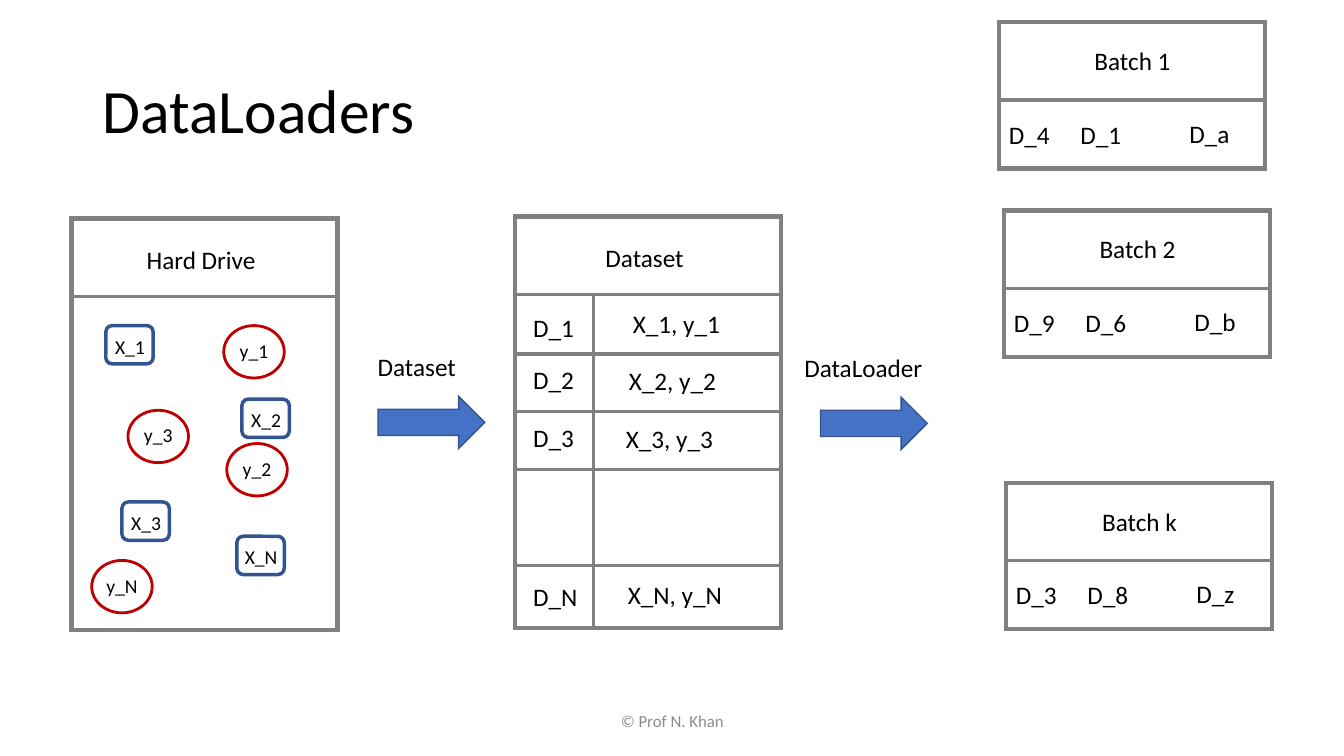
from dataclasses import dataclass

from lxml import etree
from pptx import Presentation, util as u
from pptx.dml.color import RGBColor
from pptx.enum import shapes as s, text as t
from pptx.oxml.ns import qn

# Grid of square cells, ten to the inch
COLS, ROWS = 133.33, 75
BLACK, GREY, NAVY, BLUE, RED = "000000", "808080", "325491", "4472C4", "C00000"
KIND = s.MSO_SHAPE
WIDE, HEAD = 26.4, 7.7  # panel width and header height

deck = Presentation()
deck.slide_width, deck.slide_height = u.Inches(13.33), u.Inches(7.5)
slide = deck.slides.add_slide(deck.slide_layouts[6])


@dataclass
class Panel:
    name: str
    x: float
    y: float
    high: float
    dx: float
    dy: float


@dataclass
class Style:
    kind: KIND
    line: str
    weight: float
    wide: float
    high: float
    dx: float
    dy: float


@dataclass
class Token:
    name: str
    x: float
    y: float
    style: Style


@dataclass
class Batch:
    panel: Panel
    items: tuple[str, ...]


@dataclass
class Row:
    key: str
    pair: str
    key_y: float
    pair_x: float
    pair_y: float


@dataclass
class Arrow:
    name: str
    x: float
    y: float
    text_x: float


def color(code: str) -> RGBColor:
    return RGBColor.from_string(code)


def grid(*cells: float) -> list[int]:
    """Turn x, y, x, y ... in grid cells into slide units."""
    units = (deck.slide_width / COLS, deck.slide_height / ROWS)
    return [round(cell * units[i % 2]) for i, cell in enumerate(cells)]


def write(words: str, x: float, y: float, wide: float = 21.5, high: float = 4, *,
          size: int = 18, ink: str = BLACK, center: bool = True,
          middle: bool = False, space: float = 1) -> None:
    frame = slide.shapes.add_textbox(*grid(x, y, wide, high)).text_frame
    frame.word_wrap = True
    frame.vertical_anchor = t.MSO_ANCHOR.MIDDLE if middle else t.MSO_ANCHOR.TOP
    para = frame.paragraphs[0]
    para.alignment = t.PP_ALIGN.CENTER if center else t.PP_ALIGN.LEFT
    para.line_spacing = space
    run = para.add_run()
    run.text = words
    run.font.name, run.font.size = "Calibri", u.Pt(size)
    run.font.color.rgb = color(ink)


def label(words: str, x: float, y: float, wide: float = 7) -> None:
    write(words, x, y, wide, center=False)


def shape(kind: KIND, x: float, y: float, wide: float, high: float,
          line: str, weight: float, fill: str = "") -> None:
    item = slide.shapes.add_shape(kind, *grid(x, y, wide, high))
    item.shadow.inherit = False
    item.line.color.rgb, item.line.width = color(line), u.Pt(weight)
    # Sharp corners
    etree.SubElement(item._element.spPr.find(qn("a:ln")), qn("a:miter"), lim="800000")
    if fill:
        item.fill.solid()
        item.fill.fore_color.rgb = color(fill)
    else:
        item.fill.background()


def rule(x: float, y: float, end_x: float, end_y: float) -> None:
    line = slide.shapes.add_connector(s.MSO_CONNECTOR.STRAIGHT, *grid(x, y, end_x, end_y))
    line.line.color.rgb, line.line.width = color(GREY), u.Pt(2.5)
    etree.SubElement(line._element.spPr, qn("a:effectLst"))


def panel(p: Panel) -> None:
    shape(KIND.RECTANGLE, p.x, p.y, WIDE, p.high, GREY, 3.25)
    rule(p.x, p.y + HEAD, p.x + WIDE, p.y + HEAD)
    write(p.name, p.x + p.dx, p.y + p.dy)


def token(k: Token) -> None:
    f = k.style
    shape(f.kind, k.x, k.y, f.wide, f.high, f.line, f.weight)
    write(k.name, k.x + f.dx, k.y + f.dy, 7.4, 3.4, size=14)


def batch(b: Batch) -> None:
    panel(b.panel)
    for name, dx, dy in zip(b.items, (0, 7.1, 17.9), (9.1, 9.1, 9)):
        label(name, b.panel.x + dx, b.panel.y + dy)


def arrow(a: Arrow) -> None:
    shape(KIND.RIGHT_ARROW, a.x, a.y, 10.6, 5.2, NAVY, 1, BLUE)
    write(a.name, a.text_x, a.y - 4.9)


# Title and footer
write("DataLoaders", 9.2, 4, 115, 14.5, size=44, center=False, middle=True, space=0.9)
write("© Prof N. Khan", 44.2, 69.5, 45, size=12, ink="8C8C8C", middle=True)

# Hard drive with loose samples and targets
panel(Panel("Hard Drive", 7.1, 21.7, 40.8, 2.1, 2))
BOX = Style(KIND.ROUNDED_RECTANGLE, NAVY, 2.5, 4.7, 3.8, -1.3, 0.4)
OVAL = Style(KIND.OVAL, RED, 2, 6, 5.2, -0.7, 0.8)
for tok in (
    Token("X_1", 10.5, 32.3, BOX), Token("X_2", 24, 39.6, BOX),
    Token("X_3", 12.1, 49.8, BOX), Token("X_N", 23.5, 53.2, BOX),
    Token("y_1", 22.2, 32.3, OVAL), Token("y_2", 22.5, 44, OVAL),
    Token("y_3", 12.7, 40.7, OVAL), Token("y_N", 9.1, 55.6, OVAL),
):
    token(tok)

# Dataset of indexed pairs
data = Panel("Dataset", 51.1, 21.5, 40.8, 2.1, 2)
panel(data)
rule(58.9, data.y + HEAD, 58.9, data.y + data.high)
for y in (35.1, 40.8, 46.6, 56.1):
    rule(data.x, y, data.x + WIDE, y)
for row in (
    Row("D_1", "X_1, y_1", 30.5, 61.8, 30.1),
    Row("D_2", "X_2, y_2", 35.7, 61.4, 35.8),
    Row("D_3", "X_3, y_3", 41.4, 61.1, 41.5),
    Row("D_N", "X_N, y_N", 57.2, 61.3, 57),
):
    label(row.key, 51.9, row.key_y)
    label(row.pair, row.pair_x, row.pair_y, 12.5)

# Arrows between the stages
for step in (Arrow("Dataset", 37.5, 39.3, 30.6), Arrow("DataLoader", 81.4, 39.4, 74.9)):
    arrow(step)

# Batches
for name, x, y, items in (
    ("Batch 1", 99.1, 2.2, ("D_4", "D_1", "D_a")),
    ("Batch 2", 99.6, 20.9, ("D_9", "D_6", "D_b")),
    ("Batch k", 99.8, 47.9, ("D_3", "D_8", "D_z")),
):
    batch(Batch(Panel(name, x, y, 14.5, 2.5, 1.8), items))

deck.save("out.pptx")
